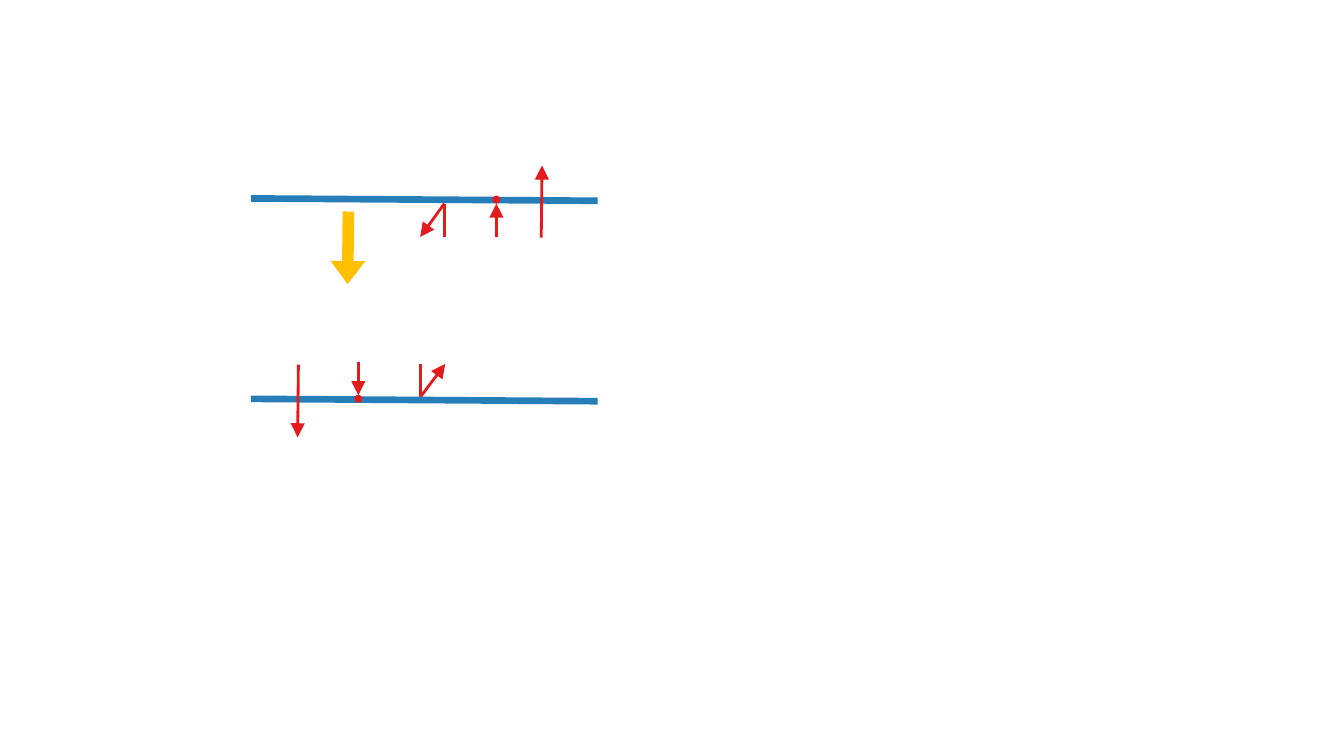
from lxml.etree import SubElement
from pptx import Presentation
from pptx.dml.color import RGBColor
from pptx.enum.shapes import MSO_CONNECTOR, MSO_SHAPE
from pptx.oxml.ns import qn
from pptx.util import Cm, Pt

WALL_BLUE = RGBColor(0x25, 0x7E, 0xB8)
PARTICLE_RED = RGBColor(0xE4, 0x1A, 0x1C)
MOTION_YELLOW = RGBColor(0xFF, 0xC0, 0x00)
DOT_SIZE = 0.2


def add_line(shapes, start, end, color=PARTICLE_RED, width=2, head=None):
    line = shapes.add_connector(MSO_CONNECTOR.STRAIGHT, *map(Cm, start + end))
    line.line.color.rgb = color
    line.line.width = Pt(width)
    if head:
        head_width, head_length = head
        SubElement(line.line._get_or_add_ln(), qn("a:tailEnd"),
                   type="triangle", w=head_width, len=head_length)
    SubElement(line._element.spPr, qn("a:effectLst"))


def add_ray(shapes, start, end):
    add_line(shapes, start, end, head=("lg", "lg"))


def add_wall(slide, top):
    add_line(slide.shapes, (6.32, top), (15.06, top + 0.06), WALL_BLUE, 4.75)


def add_reflection(slide, start, bounce, end):
    shapes = slide.shapes.add_group_shape().shapes
    add_ray(shapes, bounce, end)
    add_line(shapes, start, bounce)


def add_absorption(slide, start, end, center):
    shapes = slide.shapes.add_group_shape().shapes
    add_ray(shapes, start, end)
    x, y = center
    dot = shapes.add_shape(MSO_SHAPE.OVAL, Cm(x - DOT_SIZE / 2), Cm(y - DOT_SIZE / 2),
                           Cm(DOT_SIZE), Cm(DOT_SIZE))
    dot.fill.solid()
    dot.fill.fore_color.rgb = PARTICLE_RED
    dot.line.fill.background()
    dot.shadow.inherit = False


def main():
    prs = Presentation()
    prs.slide_width, prs.slide_height = Cm(33.87), Cm(19.05)
    slide = prs.slides.add_slide(prs.slide_layouts[6])

    add_wall(slide, 5)
    add_reflection(slide, (11.2, 5.97), (11.2, 5.13), (10.59, 5.97))
    add_ray(slide.shapes, (13.64, 5.99), (13.66, 4.17))
    add_absorption(slide, (12.51, 5.97), (12.51, 5.13), (12.51, 5.03))

    add_reflection(slide, (10.59, 9.17), (10.59, 10.01), (11.22, 9.17))
    add_wall(slide, 10.05)
    add_absorption(slide, (9.03, 9.12), (9.03, 9.96), (9.03, 10.05))
    add_ray(slide.shapes, (7.52, 9.19), (7.5, 11.02))

    add_line(slide.shapes, (8.78, 5.33), (8.76, 7.16), MOTION_YELLOW, 8.25, ("med", "sm"))
    prs.save("out.pptx")


if __name__ == "__main__":
    main()
